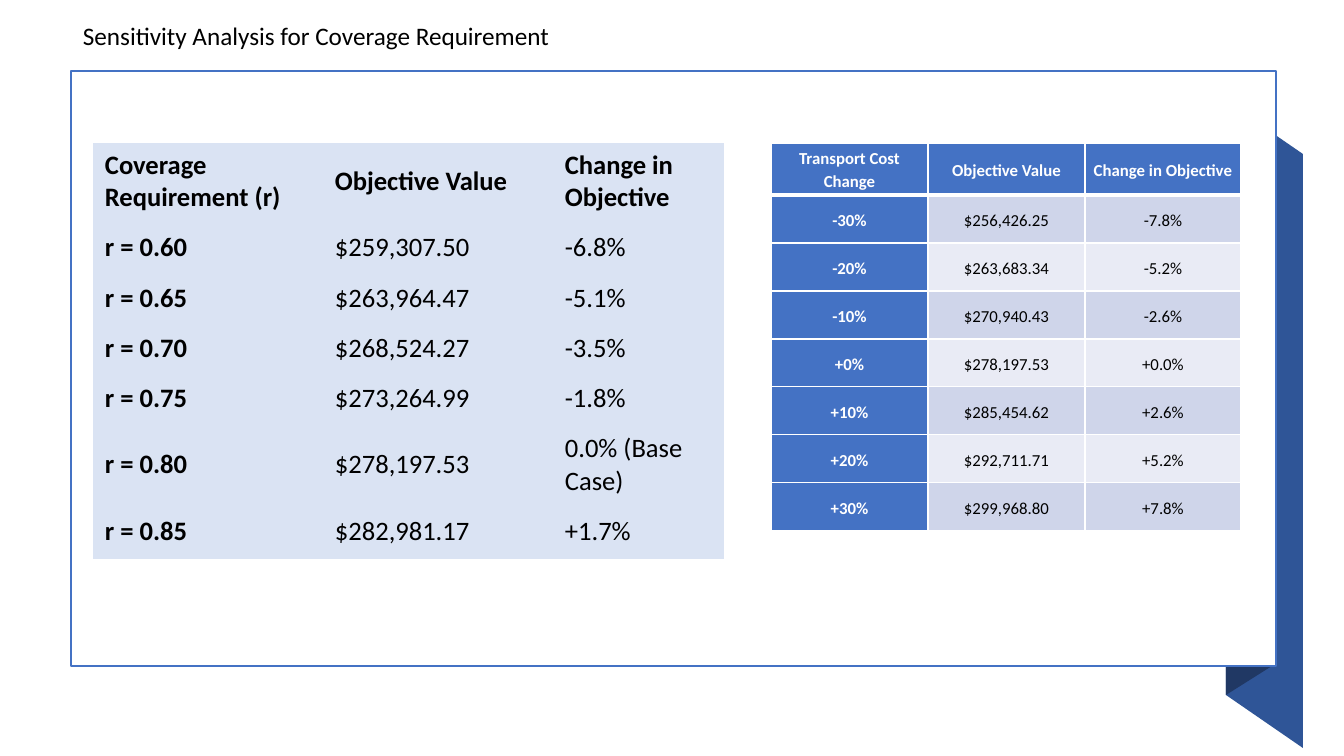
from dataclasses import dataclass

from lxml import etree
from pptx import Presentation
from pptx import util as u
from pptx.dml.color import RGBColor
from pptx.enum import shapes, text
from pptx.oxml import ns

PX = 914400 / 100.8
NO_STYLE = "{2D5ABB26-0587-4C30-8999-92F81FD0307C}"


@dataclass(frozen=True)
class Theme:
    font: str = "Calibri"
    black: str = "000000"
    white: str = "FFFFFF"
    blue: str = "4472C4"
    ribbon: str = "2F5597"
    fold: str = "203864"
    pale: str = "DAE3F3"
    bands: tuple = ("CFD5EA", "E9EBF5")
    title: int = 18
    large: int = 19
    small: int = 12


def px(n):
    return u.Emu(round(n * PX))


def rgb(color):
    return RGBColor.from_string(color)


def border(cell, side, color, points):
    """Add one cell edge; call before filling, in the order L, R, T, B."""
    ln = etree.SubElement(cell._tc.get_or_add_tcPr(), ns.qn(f"a:ln{side}"),
                          w=str(u.Pt(points)))
    fill = etree.SubElement(ln, ns.qn("a:solidFill"))
    etree.SubElement(fill, ns.qn("a:srgbClr"), val=color)


class SlideBuilder:
    def __init__(self, slide, theme):
        self.s = slide
        self.t = theme

    def paint(self, sp, fill, line=None):
        sp.shadow.inherit = False
        sp.fill.solid()
        sp.fill.fore_color.rgb = rgb(fill)
        if line:
            sp.line.color.rgb = rgb(line)
            sp.line.width = u.Pt(1)
        else:
            sp.line.fill.background()

    def polygon(self, points, fill):
        start, *rest = points
        outline = self.s.shapes.build_freeform(*start, scale=PX)
        outline.add_line_segments(rest, close=True)
        self.paint(outline.convert_to_shape(), fill)

    def rect(self, x, y, w, h, fill, line):
        sp = self.s.shapes.add_shape(shapes.MSO_SHAPE.RECTANGLE,
                                     px(x), px(y), px(w), px(h))
        self.paint(sp, fill, line)

    def run(self, p, words, size, color, bold=False):
        r = p.add_run()
        r.text = words
        r.font.name = self.t.font
        r.font.size = u.Pt(size)
        r.font.bold = bold
        r.font.color.rgb = rgb(color)

    def label(self, x, y, w, h, words):
        tf = self.s.shapes.add_textbox(px(x), px(y), px(w), px(h)).text_frame
        tf.word_wrap = True
        self.run(tf.paragraphs[0], words, self.t.title, self.t.black)

    def table(self, x, y, cols, heights, rows, style_cell):
        """Lay out rows of text; style_cell(cell, row, col, words) dresses each cell."""
        frame = self.s.shapes.add_table(len(rows), len(cols), px(x), px(y),
                                        px(sum(cols)), px(sum(heights)))
        table = frame.table
        table._tbl.tblPr.find(ns.qn("a:tableStyleId")).text = NO_STYLE
        table.horz_banding = False
        for column, w in zip(table.columns, cols):
            column.width = px(w)
        for row, h in zip(table.rows, heights):
            row.height = px(h)
        for i, row in enumerate(rows):
            for j, words in enumerate(row):
                style_cell(table.cell(i, j), i, j, words)

    def dress(self, cell, insets, fill):
        cell.vertical_anchor = text.MSO_ANCHOR.MIDDLE
        (cell.margin_left, cell.margin_top,
         cell.margin_right, cell.margin_bottom) = map(px, insets)
        cell.fill.solid()
        cell.fill.fore_color.rgb = rgb(fill)
        return cell.text_frame.paragraphs[0]

    def coverage_cell(self, cell, i, j, words):
        p = self.dress(cell, (12, 6, 12, 12), self.t.pale)
        self.run(p, words, self.t.large, self.t.black, i == 0 or j == 0)

    def transport_cell(self, cell, i, j, words):
        t = self.t
        heading = i == 0 or j == 0
        for side in "LRTB":
            under_header = (i, side) in ((0, "B"), (1, "T"))
            border(cell, side, t.white, 3 if under_header else 1)
        p = self.dress(cell, (1, 1, 1, 1), t.blue if heading else t.bands[(i - 1) % 2])
        p.alignment = text.PP_ALIGN.CENTER
        p.line_spacing = 1.15
        p.space_after = u.Pt(10)
        self.run(p, words, t.small, t.white if heading else t.black, heading)


COVERAGE = [
    ("Coverage Requirement (r)", "Objective Value", "Change in Objective"),
    ("r = 0.60", "$259,307.50", "-6.8%"),
    ("r = 0.65", "$263,964.47", "-5.1%"),
    ("r = 0.70", "$268,524.27", "-3.5%"),
    ("r = 0.75", "$273,264.99", "-1.8%"),
    ("r = 0.80", "$278,197.53", "0.0% (Base Case)"),
    ("r = 0.85", "$282,981.17", "+1.7%"),
]
TRANSPORT = [
    ("Transport Cost Change", "Objective Value", "Change in Objective"),
    ("-30%", "$256,426.25", "-7.8%"),
    ("-20%", "$263,683.34", "-5.2%"),
    ("-10%", "$270,940.43", "-2.6%"),
    ("+0%", "$278,197.53", "+0.0%"),
    ("+10%", "$285,454.62", "+2.6%"),
    ("+20%", "$292,711.71", "+5.2%"),
    ("+30%", "$299,968.80", "+7.8%"),
]


def main():
    prs = Presentation()
    prs.slide_width, prs.slide_height = px(1344), px(756)
    t = Theme()
    b = SlideBuilder(prs.slides.add_slide(prs.slide_layouts[6]), t)

    b.polygon([(1303, 748), (1226, 695), (1226, 101), (1303, 154)], t.ribbon)
    b.polygon([(1272, 666), (1226, 695), (1226, 101), (1272, 71)], t.fold)
    b.rect(71, 71, 1205, 595, t.white, t.blue)
    b.table(93, 143, [230, 230, 171], [82, 50, 50, 50, 50, 82, 50],
            COVERAGE, b.coverage_cell)
    b.label(73, 15, 672, 40, "Sensitivity Analysis for Coverage Requirement")
    b.table(771, 143, [157, 157, 156], [52] + [48] * 7,
            TRANSPORT, b.transport_cell)
    prs.save("out.pptx")


if __name__ == "__main__":
    main()
